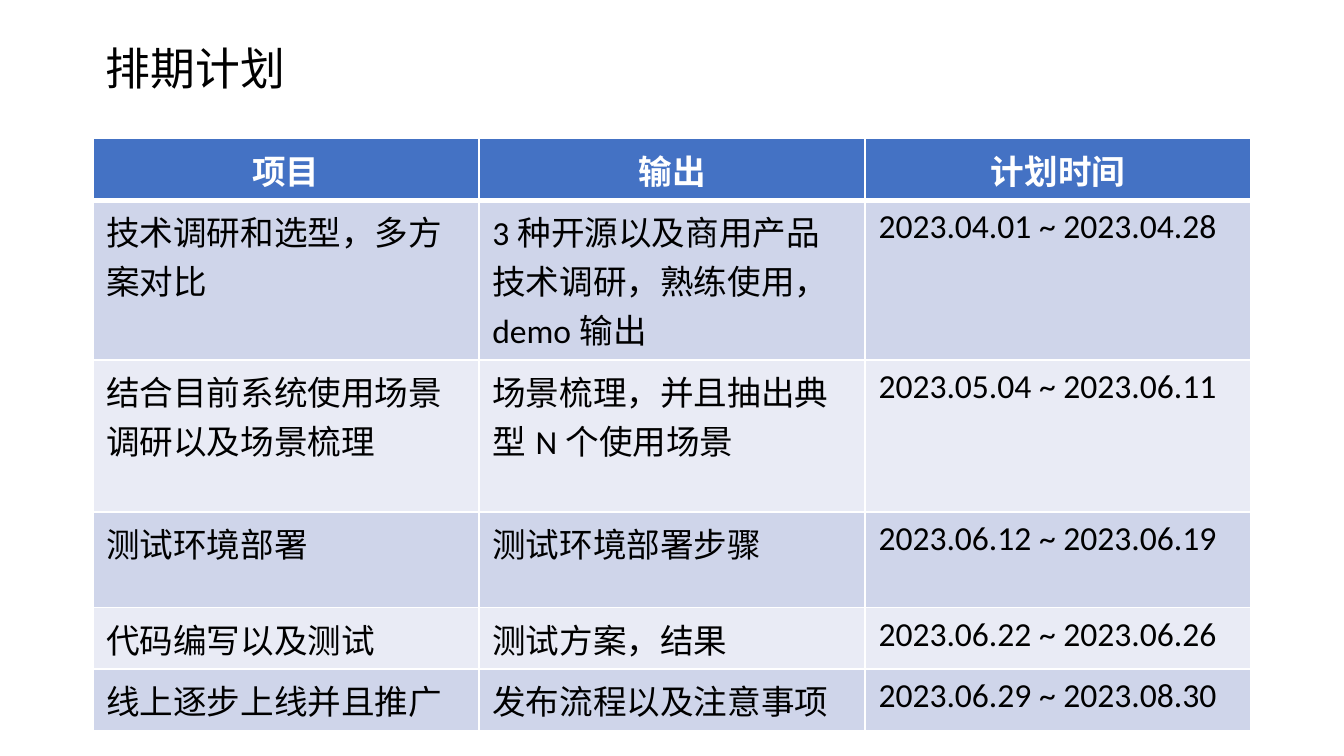
from lxml.etree import SubElement as Sub
from pptx import Presentation
from pptx.dml.color import RGBColor as RGB
from pptx.enum.text import MSO_ANCHOR as Anchor, PP_ALIGN as Align
from pptx.oxml.ns import qn
from pptx.util import Inches, Pt

FONT = "Calibri"
COLORS = {"head": "4472C4", "odd": "CFD5EA", "even": "E9EBF5",
          "line": "FFFFFF", "light": "FFFFFF", "text": "000000"}
HEADS = ["项目", "输出", "计划时间"]
PLAN = [
    ["技术调研和选型，多方案对比", "3种开源以及商用产品技术调研，熟练使用，demo输出",
     "2023.04.01 ~ 2023.04.28"],
    ["结合目前系统使用场景调研以及场景梳理", "场景梳理，并且抽出典型N个使用场景",
     "2023.05.04 ~ 2023.06.11"],
    ["测试环境部署", "测试环境部署步骤", "2023.06.12 ~ 2023.06.19"],
    ["代码编写以及测试", "测试方案，结果", "2023.06.22 ~ 2023.06.26"],
    ["线上逐步上线并且推广", "发布流程以及注意事项", "2023.06.29 ~ 2023.08.30"],
]
HEIGHTS = [0.46, 1.19, 1.13, 0.71, 0.46, 0.46]


def style(frame, size, color, bold=False):
    for para in frame.paragraphs:
        for run in para.runs:
            run.font.name = FONT
            run.font.size = Pt(size)
            run.font.bold = bold
            run.font.color.rgb = RGB.from_string(COLORS[color])


def add_title(slide, box, text):
    frame = slide.shapes.add_textbox(*map(Inches, box)).text_frame
    frame.word_wrap = True
    frame.vertical_anchor = Anchor.TOP
    frame.text = text
    frame.paragraphs[0].line_spacing = 0.9
    style(frame, 24, "text")


def add_edges(cell, base):
    props = cell._tc.get_or_add_tcPr()
    for side, width in zip("LRTB", (1, 1, 1, base)):
        line = Sub(props, qn(f"a:ln{side}"), w=str(Pt(width)))
        Sub(Sub(line, qn("a:solidFill")), qn("a:srgbClr"), val=COLORS["line"])


def add_plan(slide, box, rows, heights):
    count = len(rows[0])
    table = slide.shapes.add_table(len(rows), count, *map(Inches, box)).table
    for col in table.columns:
        col.width = Inches(box[2] / count)
    for r, (row, height) in enumerate(zip(rows, heights)):
        table.rows[r].height = Inches(height)
        head = r == 0
        fill = "head" if head else "odd" if r % 2 else "even"
        for c, text in enumerate(row):
            cell = table.cell(r, c)
            add_edges(cell, 3 if head else 1)
            cell.fill.solid()
            cell.fill.fore_color.rgb = RGB.from_string(COLORS[fill])
            cell.text_frame.text = text
            cell.text_frame.paragraphs[0].alignment = Align.CENTER if head else Align.LEFT
            style(cell.text_frame, 18, "light" if head else "text", head)


def main():
    deck = Presentation()
    # Widescreen, 16:9
    deck.slide_width = Inches(10)
    deck.slide_height = Inches(10 * 9 / 16)
    slide = deck.slides.add_slide(deck.slide_layouts[6])
    add_title(slide, (0.69, 0.3, 8.62, 1.09), "排期计划")
    add_plan(slide, (0.69, 1.03, 8.62, sum(HEIGHTS)), [HEADS] + PLAN, HEIGHTS)
    deck.save("out.pptx")


if __name__ == "__main__":
    main()
